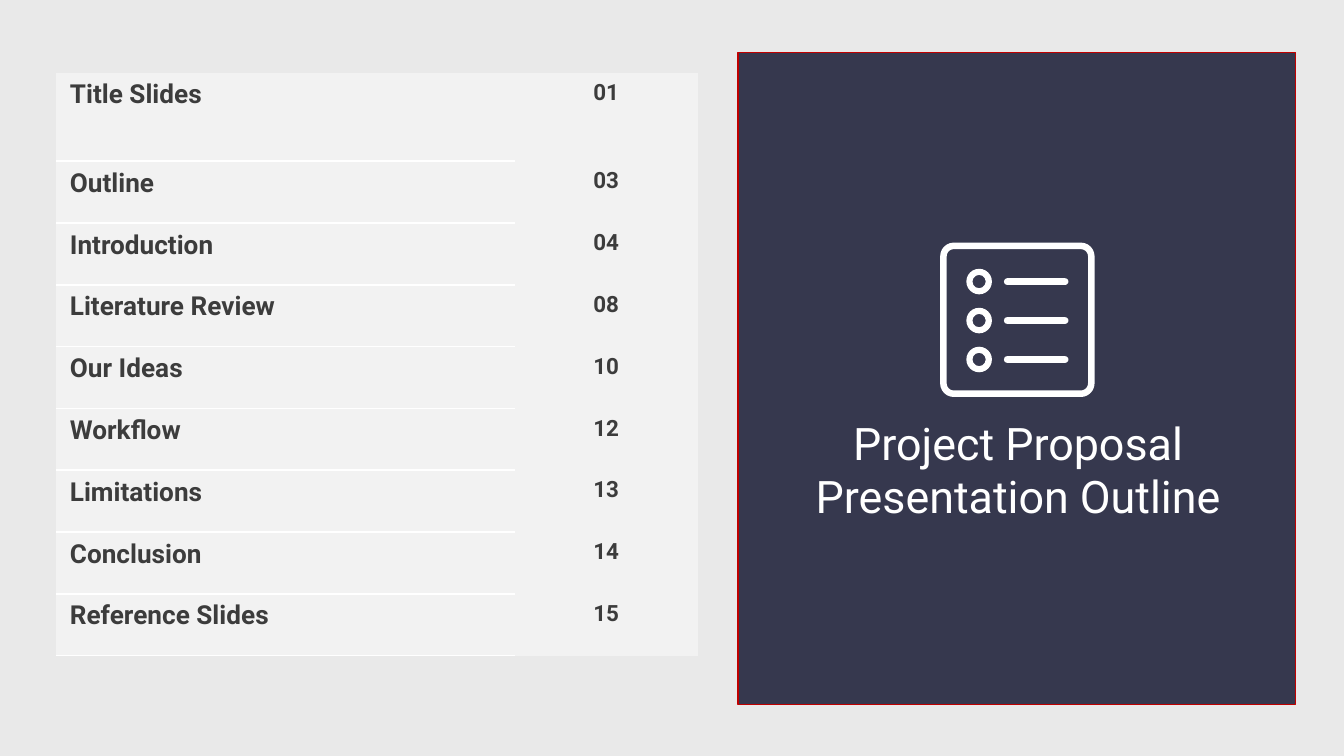
import pptx
import pptx.dml.color
import pptx.enum.shapes
import pptx.enum.text
import pptx.oxml
import pptx.oxml.ns
import pptx.util

Inches = pptx.util.Inches
Pt = pptx.util.Pt
SHAPE = pptx.enum.shapes.MSO_SHAPE
ALIGN = pptx.enum.text.PP_ALIGN

COLORS = {
    "background": "E9E9E9",
    "panel": "36384E",
    "panel_edge": "C00000",
    "cell": "F2F2F2",
    "text": "3C3C3C",
    "white": "FFFFFF",
}
NO_TABLE_STYLE = "{2D5ABB26-0587-4C30-8999-92F81FD0307C}"

OUTLINE = [
    ("Title Slides", "01"),
    ("Outline", "03"),
    ("Introduction", "04"),
    ("Literature Review", "08"),
    ("Our Ideas", "10"),
    ("Workflow", "12"),
    ("Limitations", "13"),
    ("Conclusion", "14"),
    ("Reference Slides", "15"),
]


class OutlineSlide:
    font = "Roboto"

    def __init__(self, deck):
        self.slide = deck.slides.add_slide(deck.slide_layouts[5])
        self.paint(self.slide.background.fill, "background")

    def paint(self, fill, color):
        fill.solid()
        fill.fore_color.rgb = self.rgb(color)

    def rgb(self, color):
        return pptx.dml.color.RGBColor.from_string(COLORS[color])

    def format_text(self, frame, size, color, align, bold=False):
        for paragraph in frame.paragraphs:
            paragraph.alignment = align
            for run in paragraph.runs:
                run.font.name = self.font
                run.font.size = Pt(size)
                run.font.bold = bold
                run.font.color.rgb = self.rgb(color)

    def shape(self, kind, box, fill=None, line=None, line_width=0.75, adjust=None):
        shape = self.slide.shapes.add_shape(kind, *map(Inches, box))
        shape.shadow.inherit = False
        if adjust is not None:
            shape.adjustments[0] = adjust
        if fill:
            self.paint(shape.fill, fill)
        else:
            shape.fill.background()
        if line:
            shape.line.color.rgb = self.rgb(line)
            shape.line.width = Pt(line_width)
        else:
            shape.line.fill.background()

    def title(self, text, box):
        title = self.slide.shapes.title
        title.left, title.top, title.width, title.height = map(Inches, box)
        frame = title.text_frame
        frame.text = text
        frame.word_wrap = True
        frame.auto_size = pptx.enum.text.MSO_AUTO_SIZE.NONE
        frame.vertical_anchor = pptx.enum.text.MSO_ANCHOR.MIDDLE
        frame.margin_left = frame.margin_right = 0
        frame.margin_top = frame.margin_bottom = 0
        self.format_text(frame, 24, "white", ALIGN.CENTER)
        # Bring the title in front of the panel
        self.slide.shapes.element.append(title.element)

    def border(self, cell, sides):
        properties = cell._tc.get_or_add_tcPr()
        for position, side in enumerate(sides):
            line = pptx.oxml.parse_xml(
                f'<a:ln{side} {pptx.oxml.ns.nsdecls("a")} w="{Pt(0.96)}"><a:solidFill>'
                f'<a:srgbClr val="{COLORS["white"]}"/></a:solidFill></a:ln{side}>'
            )
            properties.insert(position, line)

    def table(self, entries, left, top, widths, heights):
        frame = self.slide.shapes.add_table(
            len(entries), len(widths), Inches(left), Inches(top),
            Inches(sum(widths)), Inches(sum(heights)),
        )
        table = frame.table
        table.first_row = table.horz_banding = False
        style = frame.element.find(".//" + pptx.oxml.ns.qn("a:tableStyleId"))
        style.text = NO_TABLE_STYLE
        for column, width in zip(table.columns, widths):
            column.width = Inches(width)
        for row, height in zip(table.rows, heights):
            row.height = Inches(height)

        columns = [(14, ALIGN.LEFT), (12, ALIGN.CENTER)]
        for row_index, entry in enumerate(entries):
            for column_index, (text, (size, align)) in enumerate(zip(entry, columns)):
                cell = table.cell(row_index, column_index)
                cell.text_frame.text = text
                self.format_text(cell.text_frame, size, "text", align, bold=True)
                self.paint(cell.fill, "cell")
            self.border(table.cell(row_index, 0), "TB" if row_index else "B")

    def checklist_icon(self, left, top):
        # Rounded frame
        self.shape(SHAPE.ROUNDED_RECTANGLE, (left + 0.03, top + 0.03, 1.1, 1.1),
                   line="white", line_width=3.5, adjust=0.07)
        # Three rings, each with its bar
        for item in range(3):
            ring_top = top + 0.2 + item * 0.29
            self.shape(SHAPE.DONUT, (left + 0.2, ring_top, 0.19, 0.19),
                       fill="white", adjust=0.24)
            self.shape(SHAPE.ROUNDED_RECTANGLE, (left + 0.48, ring_top + 0.07, 0.48, 0.05),
                       fill="white", adjust=0.5)


def main():
    # Widescreen 16:9
    deck = pptx.Presentation()
    deck.slide_width = Inches(10)
    deck.slide_height = deck.slide_width * 9 // 16
    outline = OutlineSlide(deck)

    # Title panel
    outline.shape(SHAPE.RECTANGLE, (5.49, 0.39, 4.15, 4.85),
                  fill="panel", line="panel_edge")

    # Contents with page numbers
    outline.table(OUTLINE, 0.42, 0.54, widths=[3.41, 1.36],
                  heights=[0.66] + [0.46] * (len(OUTLINE) - 1))

    # Icon and title on the panel
    outline.checklist_icon(6.99, 1.8)
    outline.title("Project Proposal Presentation Outline", (5.74, 3.09, 3.67, 0.8))

    deck.save("out.pptx")


if __name__ == "__main__":
    main()
